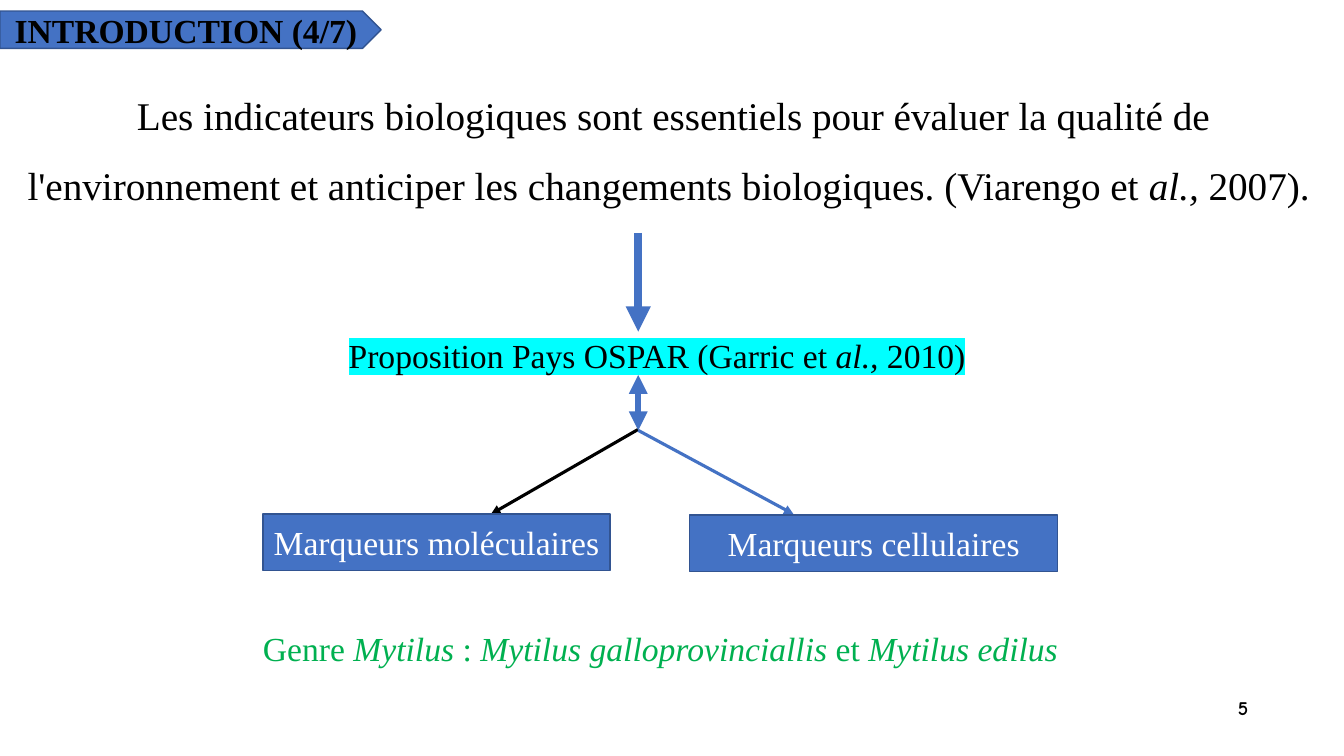
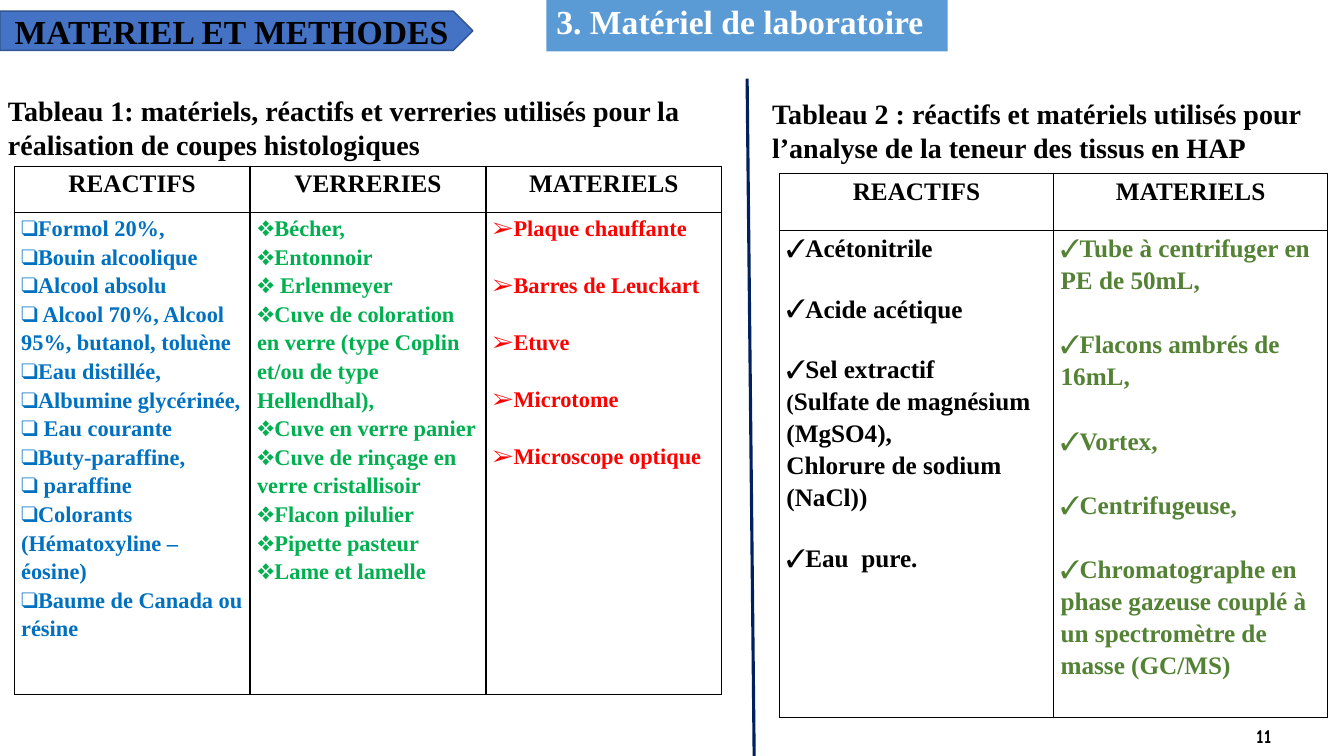
from dataclasses import dataclass
from typing import Any, NamedTuple, Optional

from lxml import etree
from pptx import Presentation
from pptx.dml.color import RGBColor
from pptx.enum.shapes import MSO_CONNECTOR, MSO_SHAPE
from pptx.enum.text import MSO_ANCHOR, MSO_AUTO_SIZE, PP_ALIGN
from pptx.oxml.ns import qn
from pptx.util import Inches, Pt

# Shared look
BLACK = RGBColor(0x00, 0x00, 0x00)
WHITE = RGBColor(0xFF, 0xFF, 0xFF)
BLUE = RGBColor(0x44, 0x72, 0xC4)
BLUE_EDGE = RGBColor(0x32, 0x54, 0x91)
SKY = RGBColor(0x5B, 0x9B, 0xD5)
NAVY = RGBColor(0x00, 0x20, 0x60)
CYAN = RGBColor(0x00, 0xFF, 0xFF)
AZURE = RGBColor(0x00, 0x70, 0xC0)
GREEN = RGBColor(0x00, 0xB0, 0x50)
OLIVE = RGBColor(0x54, 0x82, 0x35)
RED = RGBColor(0xFF, 0x00, 0x00)

SERIF = "Times New Roman"
NUMBER_FONT = "Comic Neue"
TITLE_ONLY = 5

LEFT, CENTER, RIGHT = PP_ALIGN.LEFT, PP_ALIGN.CENTER, PP_ALIGN.RIGHT
TOP, MIDDLE = MSO_ANCHOR.TOP, MSO_ANCHOR.MIDDLE
PENTAGON, RECTANGLE = MSO_SHAPE.PENTAGON, MSO_SHAPE.RECTANGLE
STRAIGHT = MSO_CONNECTOR.STRAIGHT
NO_AUTOFIT = MSO_AUTO_SIZE.NONE


class Box(NamedTuple):
    left: float
    top: float
    width: float
    height: float


class Run(NamedTuple):
    text: str
    italic: bool = False
    size: Optional[float] = None


@dataclass
class TextStyle:
    size: float
    color: RGBColor = BLACK
    bold: bool = False
    name: str = SERIF
    align: Any = LEFT
    spacing: float = 1.0
    highlight: Optional[RGBColor] = None


@dataclass
class Arrow:
    start: tuple[float, float]
    end: tuple[float, float]
    color: RGBColor
    width: float
    ends: tuple[str, ...] = ("tailEnd",)


class Item(NamedTuple):
    runs: list[Run]
    bulleted: bool = True
    gap: float = 0


@dataclass
class Column:
    heading: str
    bullet: str
    style: TextStyle
    items: list[Item]


TITLE = TextStyle(24, bold=True, align=CENTER)
CAPTION = TextStyle(20, bold=True)
HEADER = TextStyle(18, bold=True, align=CENTER, spacing=1.15)
PAGE_NUMBER = TextStyle(14, bold=True, name=NUMBER_FONT, align=RIGHT)


def set_values(target: Any, values: dict[str, Any]) -> None:
    for name, value in values.items():
        setattr(target, name, value)


def add_color(parent: Any, tag: str, color: RGBColor) -> Any:
    element = etree.Element(qn(tag))
    etree.SubElement(element, qn("a:srgbClr"), val=str(color))
    parent.append(element)
    return element


# Text
def write(paragraph: Any, runs: list[Run], style: TextStyle, gap: float = 0) -> None:
    set_values(paragraph, {"alignment": style.align, "line_spacing": style.spacing,
                           "space_before": Pt(0), "space_after": Pt(gap)})
    for part in runs:
        run = paragraph.add_run()
        run.text = part.text
        set_values(run.font, {"name": style.name, "size": Pt(part.size or style.size),
                              "bold": style.bold, "italic": part.italic})
        run.font.color.rgb = style.color
        if style.highlight is not None:
            properties = run.font._element
            mark = add_color(properties, "a:highlight", style.highlight)
            properties.find(qn("a:solidFill")).addnext(mark)


def fill_frame(shape: Any, runs: list[Run], style: TextStyle, anchor: Any = TOP) -> None:
    set_values(shape.text_frame, {"word_wrap": True, "auto_size": NO_AUTOFIT,
                                  "vertical_anchor": anchor})
    write(shape.text_frame.paragraphs[0], runs, style)


def add_text(slide: Any, box: Box, runs: list[Run], style: TextStyle,
             anchor: Any = TOP, fill: Optional[RGBColor] = None) -> None:
    shape = slide.shapes.add_textbox(*map(Inches, box))
    if fill is not None:
        shape.fill.solid()
        shape.fill.fore_color.rgb = fill
    fill_frame(shape, runs, style, anchor)


# Shapes and lines
def add_block(slide: Any, kind: Any, box: Box) -> Any:
    shape = slide.shapes.add_shape(kind, *map(Inches, box))
    shape.shadow.inherit = False
    shape.fill.solid()
    shape.fill.fore_color.rgb = BLUE
    shape.line.color.rgb = BLUE_EDGE
    shape.line.width = Pt(1)
    return shape


def add_line(slide: Any, arrow: Arrow) -> None:
    connector = slide.shapes.add_connector(STRAIGHT, *map(Inches, arrow.start + arrow.end))
    connector.line.color.rgb = arrow.color
    connector.line.width = Pt(arrow.width)
    properties = connector._element.spPr
    outline = properties.find(qn("a:ln"))
    for end in arrow.ends:
        etree.SubElement(outline, qn(f"a:{end}"), type="triangle")
    etree.SubElement(properties, qn("a:effectLst"))


def start_slide(presentation: Any, title: str, band: Box, number: str, number_box: Box) -> Any:
    """Add a slide with its title band and page number."""
    slide = presentation.slides.add_slide(presentation.slide_layouts[TITLE_ONLY])
    add_block(slide, PENTAGON, band)
    placeholder = slide.shapes.title
    tip = band.height / 4
    set_values(placeholder, {"left": Inches(band.left), "top": Inches(band.top),
                             "width": Inches(band.width - tip),
                             "height": Inches(band.height)})
    set_values(placeholder.text_frame, {"margin_left": 0, "margin_right": 0})
    fill_frame(placeholder, [Run(title)], TITLE, MIDDLE)
    # Bring the title text in front of its band
    slide.shapes._spTree.append(placeholder._element)
    add_text(slide, number_box, [Run(number)], PAGE_NUMBER, MIDDLE)
    return slide


# Tables
def format_cell(cell: Any) -> None:
    set_values(cell, {"margin_left": Inches(0.07), "margin_right": Inches(0.07),
                      "margin_top": 0, "margin_bottom": 0})
    cell.fill.background()
    properties = cell._tc.get_or_add_tcPr()
    for index, side in enumerate(("lnL", "lnR", "lnT", "lnB")):
        border = etree.Element(qn(f"a:{side}"), w=str(Pt(1)))
        add_color(border, "a:solidFill", BLACK)
        properties.insert(index, border)


def add_bullet(paragraph: Any, bullet: str) -> None:
    properties = paragraph._p.get_or_add_pPr()
    properties.set("marL", "0")
    properties.set("indent", "0")
    etree.SubElement(properties, qn("a:buFont"), typeface=SERIF)
    etree.SubElement(properties, qn("a:buChar"), char=bullet)


def add_supply_table(slide: Any, left: float, top: float, column_width: float,
                     row_heights: tuple[float, float], columns: list[Column]) -> None:
    box = Box(left, top, column_width * len(columns), sum(row_heights))
    table = slide.shapes.add_table(2, len(columns), *map(Inches, box)).table
    set_values(table, {"first_row": False, "horz_banding": False})
    for row, height in zip(table.rows, row_heights):
        row.height = Inches(height)
    for index, column in enumerate(columns):
        table.columns[index].width = Inches(column_width)
        header, body = table.cell(0, index), table.cell(1, index)
        format_cell(header)
        format_cell(body)
        write(header.text_frame.paragraphs[0], [Run(column.heading)], HEADER)
        for position, item in enumerate(column.items):
            frame = body.text_frame
            paragraph = frame.add_paragraph() if position else frame.paragraphs[0]
            write(paragraph, item.runs, column.style, item.gap)
            if item.bulleted:
                add_bullet(paragraph, column.bullet)


def bullets(*texts: str, gap: float = 0) -> list[Item]:
    last = len(texts) - 1
    return [Item([Run(text)], gap=gap if index < last else 0)
            for index, text in enumerate(texts)]


def list_style(size: float, color: RGBColor) -> TextStyle:
    return TextStyle(size, color, bold=True, spacing=1.15)


# Slide: biological indicators
def build_introduction(presentation: Any) -> None:
    slide = start_slide(presentation, "INTRODUCTION (4/7)", Box(0, 0.11, 3.78, 0.37),
                        "5", Box(9.48, 6.82, 3, 0.4))
    add_text(slide, Box(0.14, 0.62, 13.08, 2.56), [
        Run("Les indicateurs biologiques sont essentiels pour évaluer la qualité de "
            "l'environnement et anticiper les changements biologiques. (Viarengo et "),
        Run("al.,", True), Run(" 2007). ")],
        TextStyle(28, align=CENTER, spacing=1.5), fill=WHITE)
    add_text(slide, Box(3.36, 3.27, 6.33, 0.5), [
        Run("Proposition Pays OSPAR (Garric et "), Run("al.,", True), Run(" 2010)")],
        TextStyle(24, highlight=CYAN))

    # Flow from the statement to the two kinds of marker
    hub = (6.33, 4.27)
    for arrow in (Arrow((6.33, 2.31), (6.33, 3.29), BLUE, 6),
                  Arrow((6.33, 4.26), (4.87, 5.1), BLACK, 2.25),
                  Arrow(hub, (7.87, 5.1), BLUE, 2.25),
                  Arrow((6.33, 3.72), hub, BLUE, 4.5, ("headEnd", "tailEnd"))):
        add_line(slide, arrow)
    for label, box in (("Marqueurs moléculaires", Box(2.61, 5.1, 3.44, 0.56)),
                       ("Marqueurs cellulaires", Box(6.84, 5.11, 3.65, 0.56))):
        fill_frame(add_block(slide, RECTANGLE, box), [Run(label)],
                   TextStyle(24, WHITE, align=CENTER), MIDDLE)

    add_text(slide, Box(2.51, 6.18, 8.13, 0.5), [
        Run("Genre "), Run("Mytilus", True), Run(" : "),
        Run("Mytilus galloprovinciallis", True), Run(" et "),
        Run("Mytilus edilus", True)], TextStyle(24, GREEN))


# Slide: laboratory supplies
def build_supplies(presentation: Any) -> None:
    slide = start_slide(presentation, "MATERIEL ET METHODES", Box(0, 0.11, 4.69, 0.39),
                        "11", Box(9.71, 7.1, 3, 0.4))
    add_text(slide, Box(5.42, 0, 3.98, 0.51), [Run("3. Matériel de laboratoire")],
             TextStyle(24, WHITE, bold=True, spacing=0.9), fill=SKY)
    add_line(slide, Arrow((7.41, 0.78), (7.48, 7.5), NAVY, 2.25, ()))

    add_text(slide, Box(-0.02, 0.88, 7.38, 0.77), [
        Run("Tableau 1: matériels, réactifs et verreries utilisés pour la "
            "réalisation de coupes histologiques")], CAPTION, MIDDLE)
    add_supply_table(slide, 0.14, 1.65, 2.34, (0.46, 4.78), [
        Column("REACTIFS", "❑", list_style(16, AZURE), bullets(
            "Formol 20%,", "Bouin alcoolique", "Alcool absolu",
            " Alcool 70%, Alcool 95%, butanol, toluène", "Eau distillée,",
            "Albumine glycérinée,", " Eau courante", "Buty-paraffine,", " paraffine",
            "Colorants (Hématoxyline –éosine)", "Baume de Canada ou résine")),
        Column("VERRERIES", "❖", list_style(16, GREEN), bullets(
            "Bécher,", "Entonnoir", " Erlenmeyer",
            "Cuve de coloration en verre (type Coplin et/ou de type Hellendhal),",
            "Cuve en verre panier", "Cuve de rinçage en verre cristallisoir",
            "Flacon pilulier", "Pipette pasteur", "Lame et lamelle")),
        Column("MATERIELS", "➢", list_style(16, RED), bullets(
            "Plaque chauffante", "Barres de Leuckart", "Etuve", "Microtome",
            "Microscope optique", gap=20.4))])

    add_text(slide, Box(7.56, 0.91, 5.77, 0.77), [
        Run("Tableau 2 : réactifs et matériels utilisés pour l’analyse de la "
            "teneur des tissus en HAP")], CAPTION)
    salt = [Item([Run("Sel extractif")]),
            Item([Run("(", size=16), Run("Sulfate de magnésium (MgSO4),")], False),
            Item([Run("Chlorure de sodium (NaCl))")], False, 20.4)]
    add_supply_table(slide, 7.73, 1.72, 2.72, (0.57, 4.83), [
        Column("REACTIFS", "✓", list_style(18, BLACK), [
            Item([Run("Acétonitrile")], gap=20.4),
            Item([Run("Acide acétique")], gap=20.4),
            *salt, Item([Run("Eau  pure.")])]),
        Column("MATERIELS", "✓", list_style(18, OLIVE), bullets(
            "Tube à centrifuger en PE de 50mL,", "Flacons ambrés de 16mL,", "Vortex,",
            "Centrifugeuse,", "Chromatographe en phase gazeuse couplé à un "
            "spectromètre de masse (GC/MS)", gap=23))])


def main() -> None:
    presentation = Presentation()
    set_values(presentation, {"slide_width": Inches(13.33), "slide_height": Inches(7.5)})
    build_introduction(presentation)
    build_supplies(presentation)
    presentation.save("out.pptx")


if __name__ == "__main__":
    main()
